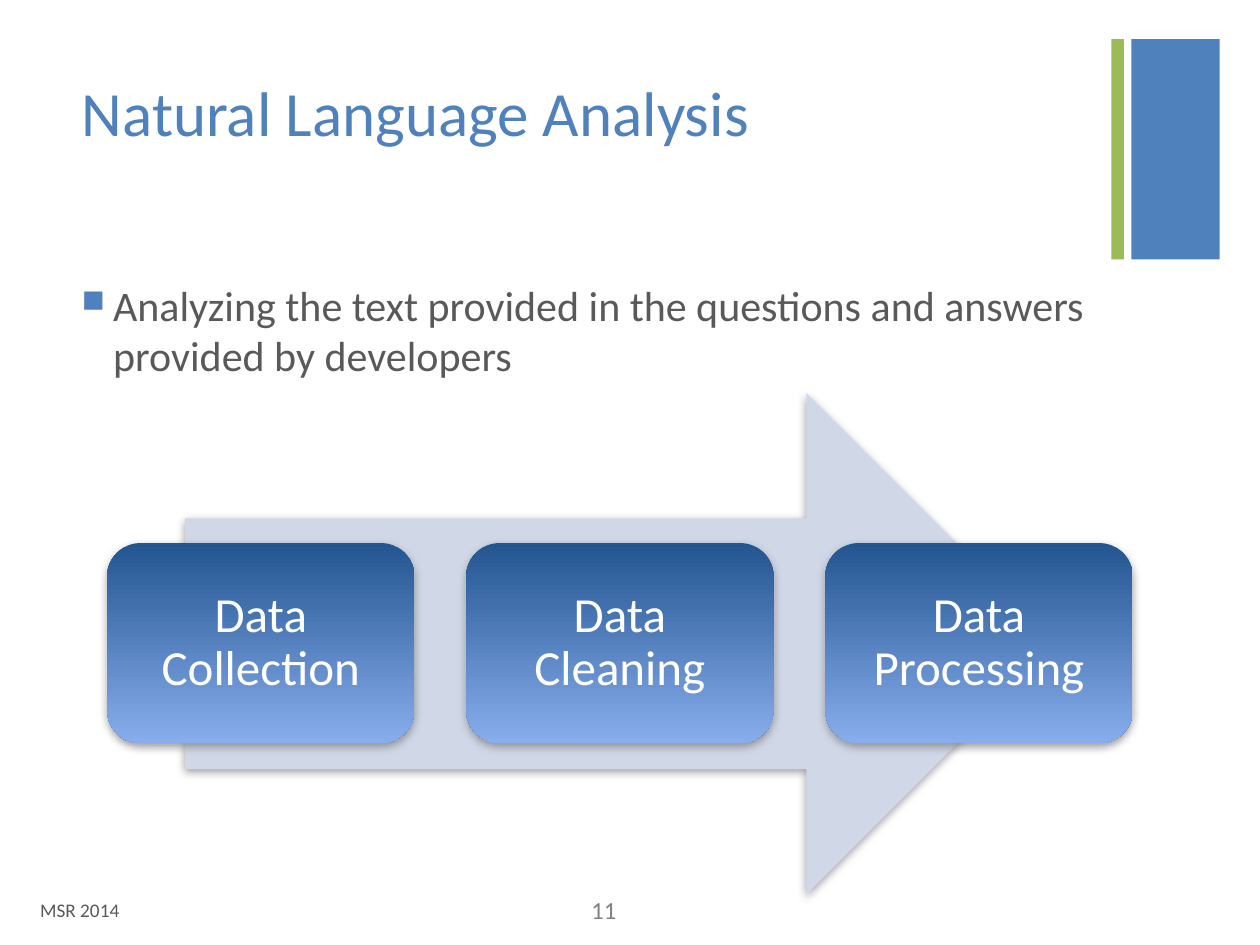
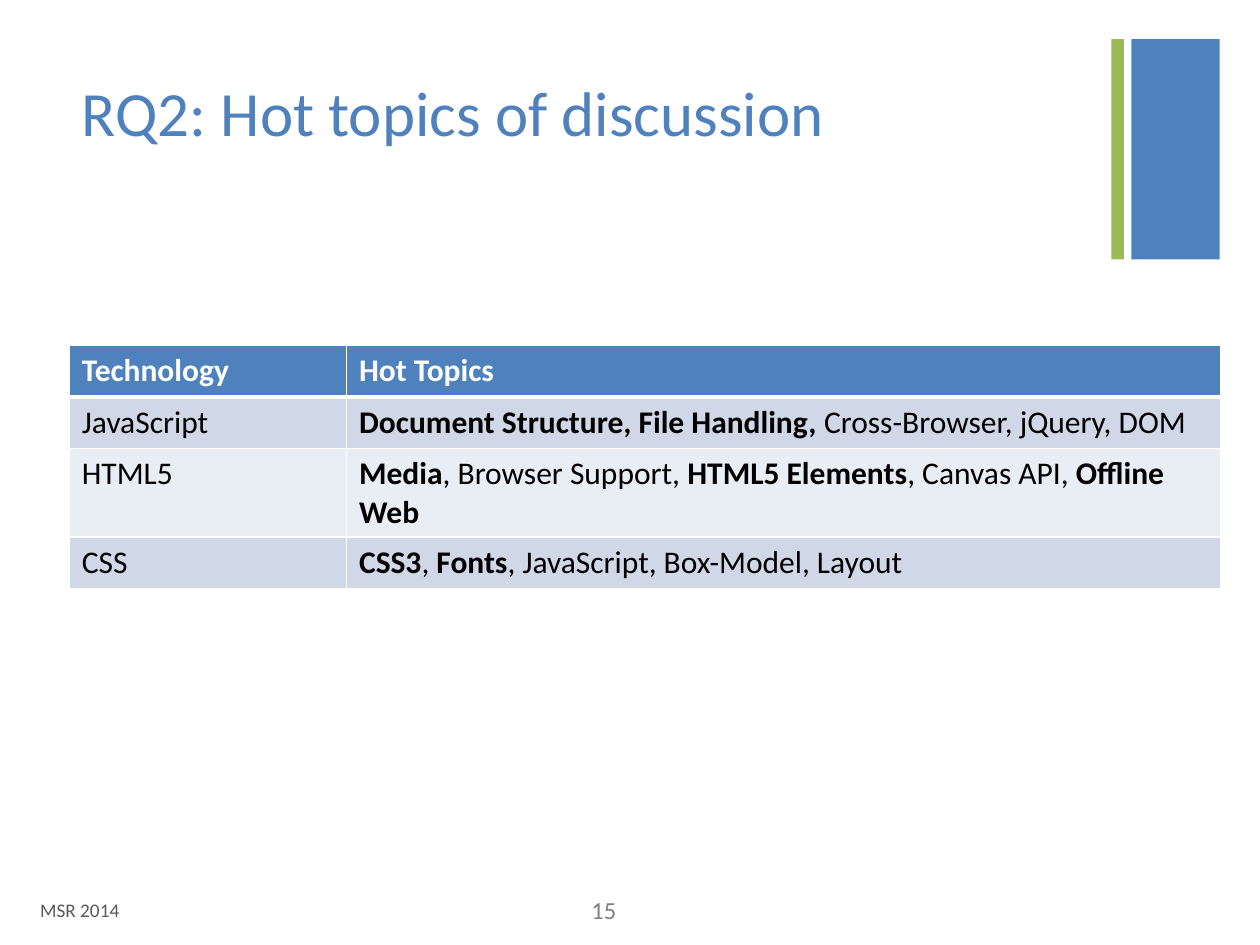
"""Build two slides on language analysis steps and hot discussion topics."""
from lxml import etree
from pptx import Presentation
from pptx.dml.color import RGBColor
from pptx.enum import shapes, text
from pptx.oxml import ns
from pptx.util import Inches, Pt

BLUE = RGBColor(0x4F, 0x81, 0xBD)
GREEN = RGBColor(0x9B, 0xBB, 0x59)
PALE = RGBColor(0xD0, 0xD8, 0xE8)
PALER = RGBColor(0xE9, 0xED, 0xF4)
DEEP = RGBColor(0x23, 0x55, 0x91)
SKY = RGBColor(0x88, 0xAD, 0xED)
DARK_GREY = RGBColor(0x59, 0x59, 0x59)
GREY = RGBColor(0x80, 0x80, 0x80)
WHITE = RGBColor(0xFF, 0xFF, 0xFF)
BLACK = RGBColor(0, 0, 0)
FONT = "Calibri"


def style(paragraph, size, color, align=text.PP_ALIGN.LEFT):
    paragraph.alignment = align
    for run in paragraph.runs:
        run.font.name = FONT
        run.font.size = Pt(size)
        run.font.color.rgb = color


def add_xml(parent, tag, **attributes):
    child = etree.SubElement(parent, ns.qn(tag))
    for name, value in attributes.items():
        child.set(name, str(value))
    return child


prs = Presentation()
prs.slide_width, prs.slide_height = Inches(10), Inches(7.5)

slides = []
for heading, number in (("Natural Language Analysis", "11"), ("RQ2: Hot topics of discussion", "15")):
    slide = prs.slides.add_slide(prs.slide_layouts[5])
    slides.append(slide)
    for left, width, color in ((8.98, 0.7, BLUE), (8.82, 0.1, GREEN)):
        band = slide.shapes.add_shape(
            shapes.MSO_SHAPE.RECTANGLE, Inches(left), Inches(0.31), Inches(width), Inches(1.75))
        band.shadow.inherit = False
        band.fill.solid()
        band.fill.fore_color.rgb = color
        band.line.fill.background()

    title = slide.shapes.title
    title.left, title.top, title.width, title.height = map(Inches, (0.55, 0.53, 8.26, 1.22))
    title.text_frame.text = heading
    title.text_frame.vertical_anchor = text.MSO_ANCHOR.TOP
    style(title.text_frame.paragraphs[0], 36, BLUE)

    for words, left, width, size, color, align in (
        ("MSR 2014", 0.22, 6.7, 11, DARK_GREY, text.PP_ALIGN.LEFT),
        (number, 4.38, 0.61, 14, GREY, text.PP_ALIGN.RIGHT),
    ):
        footer = slide.shapes.add_textbox(Inches(left), Inches(7.02), Inches(width), Inches(0.4)).text_frame
        footer.word_wrap = True
        footer.vertical_anchor = text.MSO_ANCHOR.MIDDLE
        footer.text = words
        style(footer.paragraphs[0], size, color, align)

analysis, topics = slides

summary = analysis.shapes.add_textbox(Inches(0.55), Inches(2.17), Inches(8.26), Inches(4.53)).text_frame
summary.word_wrap = True
summary.text = "Analyzing the text provided in the questions and answers provided by developers"
style(summary.paragraphs[0], 24, DARK_GREY)
bullet = summary.paragraphs[0]._p.get_or_add_pPr()
bullet.set("marL", str(Inches(0.25)))
bullet.set("indent", str(Inches(-0.25)))
add_xml(add_xml(bullet, "a:buClr"), "a:srgbClr", val=BLUE)
add_xml(bullet, "a:buSzPct", val=75000)
add_xml(bullet, "a:buChar", char="■")

arrow = analysis.shapes.add_shape(
    shapes.MSO_SHAPE.RIGHT_ARROW, Inches(1.47), Inches(3.12), Inches(6.92), Inches(3.98))
arrow.fill.solid()
arrow.fill.fore_color.rgb = PALE
process = [arrow]

for index, step_name in enumerate(("Data Collection", "Data Cleaning", "Data Processing")):
    step = analysis.shapes.add_shape(
        shapes.MSO_SHAPE.ROUNDED_RECTANGLE,
        Inches(0.85 + index * 2.85), Inches(4.31), Inches(2.44), Inches(1.59))
    step.fill.gradient()
    step.fill.gradient_angle = 270
    for stop, color in zip(step.fill.gradient_stops, (DEEP, SKY)):
        stop.color.rgb = color
    label = step.text_frame
    label.word_wrap = True
    label.vertical_anchor = text.MSO_ANCHOR.MIDDLE
    label.margin_left = label.margin_right = label.margin_top = label.margin_bottom = Inches(0.12)
    label.text = step_name
    label.paragraphs[0].line_spacing = 0.9
    style(label.paragraphs[0], 28, WHITE, text.PP_ALIGN.CENTER)
    process.append(step)

for part in process:
    part.line.fill.background()
    part.shadow.inherit = False
    effects = part._element.spPr.find(ns.qn("a:effectLst"))
    shadow = add_xml(effects, "a:outerShdw", blurRad=Pt(5), dist=Pt(2), dir=90 * 60000, rotWithShape=0)
    add_xml(add_xml(shadow, "a:srgbClr", val=GREY), "a:alpha", val=75000)

topic_rows = (
    ([("Technology", True)], [("Hot Topics", True)]),
    ([("JavaScript", False)],
     [("Document Structure, File Handling, ", True), ("Cross-Browser, jQuery, DOM", False)]),
    ([("HTML5", False)],
     [("Media", True), (", Browser Support, ", False), ("HTML5 Elements", True),
      (", Canvas API, ", False), ("Offline Web", True)]),
    ([("CSS", False)],
     [("CSS3", True), (", ", False), ("Fonts", True), (", JavaScript, Box-Model, Layout", False)]),
)
topic_table = topics.shapes.add_table(
    len(topic_rows), 2, Inches(0.55), Inches(2.74), Inches(9.14), Inches(1.64)).table
for column, width in zip(topic_table.columns, (2.2, 6.94)):
    column.width = Inches(width)
for row_index, row in enumerate(topic_rows):
    topic_table.rows[row_index].height = Inches(0.41)
    for column_index, pieces in enumerate(row):
        cell = topic_table.cell(row_index, column_index)
        paragraph = cell.text_frame.paragraphs[0]
        for words, bold in pieces:
            run = paragraph.add_run()
            run.text = words
            run.font.bold = bold
        style(paragraph, 18, BLACK if row_index else WHITE)
        for side in "LRTB":
            thick = (row_index, side) in ((0, "B"), (1, "T"))
            border = add_xml(cell._tc.get_or_add_tcPr(), f"a:ln{side}", w=Pt(3 if thick else 1))
            add_xml(add_xml(border, "a:solidFill"), "a:srgbClr", val=WHITE)
        cell.fill.solid()
        cell.fill.fore_color.rgb = (BLUE, PALE, PALER, PALE)[row_index]

prs.save("out.pptx")
